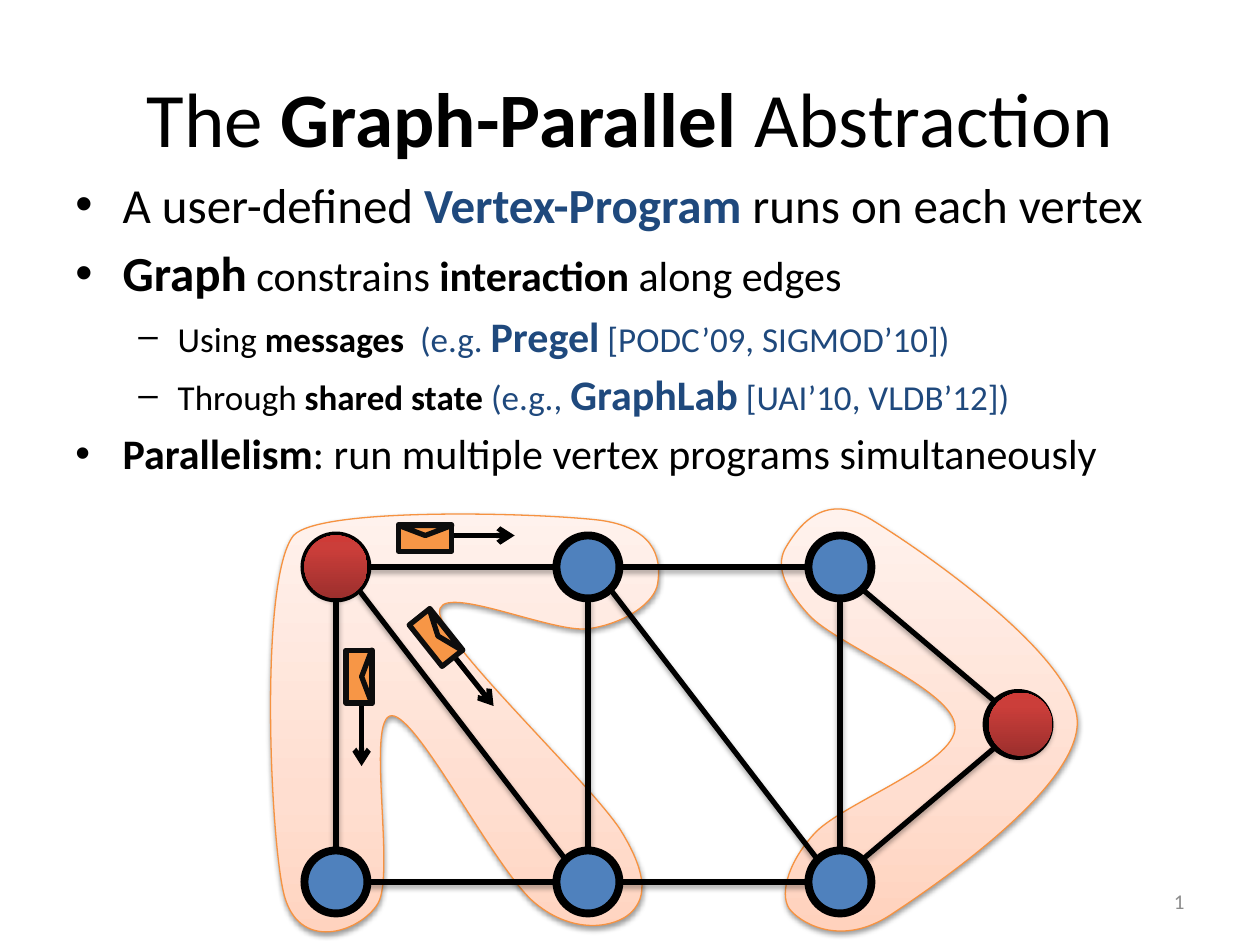
"""Build the Graph-Parallel Abstraction slide."""
import math
from typing import NamedTuple

import lxml.etree
import pptx
import pptx.dml.color
import pptx.enum.dml
import pptx.enum.shapes
import pptx.enum.text
import pptx.oxml.ns
import pptx.util

Inches = pptx.util.Inches
Pt = pptx.util.Pt
Kind = pptx.enum.shapes.MSO_SHAPE
Align = pptx.enum.text.PP_ALIGN
Anchor = pptx.enum.text.MSO_ANCHOR
qn = pptx.oxml.ns.qn

BLACK, NAVY, BLUE, ORANGE = "000000", "1F497D", "4F81BD", "F79646"
RADIUS = 0.25


class Span(NamedTuple):
    text: str
    size: float
    bold: bool = False
    color: str = BLACK


class Line(NamedTuple):
    spans: list[Span]
    bullet: str = ""
    margin: float = 0
    hang: float = 0


class Point(NamedTuple):
    x: float
    y: float


class Envelope(NamedTuple):
    center: Point
    angle: float


class Region(NamedTuple):
    box: tuple[float, float, float, float]
    start: Point
    curves: list[tuple[float, ...]]


class Stop(NamedTuple):
    percent: int
    color: str


PEACH = [Stop(0, "FFD2BD"), Stop(35, "FFDED0"), Stop(100, "FFF2ED")]
RED = [Stop(0, "9C2F2D"), Stop(80, "CB3E3A"), Stop(100, "CE3B37")]

TITLE = [Line([Span("The ", 44), Span("Graph-Parallel", 44, True), Span(" Abstraction", 44)])]
TOP = ("•", 3 / 8, -3 / 8)
SUB = ("–", 13 / 16, -5 / 16)
BODY = [
    Line([Span("A user-defined", 28), Span(" Vertex-Program ", 28, True, NAVY),
          Span("runs on each vertex", 28)], *TOP),
    Line([Span("Graph", 28, True), Span(" constrains ", 24), Span("interaction", 24, True),
          Span(" along edges", 24)], *TOP),
    Line([Span("Using ", 20), Span("messages  ", 20, True), Span("(e.g. ", 20, False, NAVY),
          Span("Pregel", 24, True, NAVY), Span(" ", 20, True, NAVY),
          Span("[PODC’09, SIGMOD’10])", 20, False, NAVY)], *SUB),
    Line([Span("Through ", 20), Span("shared state ", 20, True), Span("(e.g., ", 20, False, NAVY),
          Span("GraphLab", 24, True, NAVY), Span(" ", 20, True, NAVY),
          Span("[UAI’10, VLDB’12])", 20, False, NAVY)], *SUB),
    Line([Span("Parallelism", 24, True),
          Span(": run multiple vertex programs simultaneously", 24)], *TOP),
]

REGIONS = [
    Region((6.2, 4.04, 2.34, 3.35), Point(8.55, 5.72), [
        (8.52, 5.19, 7.29, 4.35, 6.91, 4.12), (6.52, 3.89, 6.32, 4.21, 6.24, 4.34),
        (6.16, 4.47, 6.2, 4.64, 6.42, 4.88), (6.64, 5.12, 7.58, 5.48, 7.58, 5.77),
        (7.59, 6.06, 6.67, 6.38, 6.46, 6.62), (6.24, 6.86, 6.18, 7.13, 6.28, 7.23),
        (6.38, 7.34, 6.69, 7.51, 7.07, 7.26), (7.45, 7.01, 8.57, 6.24, 8.55, 5.72)]),
    Region((2.06, 4.02, 3.19, 3.55), Point(2.33, 4.25), [
        (2.54, 4.02, 4.29, 4.07, 4.77, 4.13), (5.25, 4.2, 5.24, 4.49, 5.22, 4.63),
        (5.2, 4.78, 4.96, 4.95, 4.67, 4.99), (4.38, 5.03, 3.45, 4.6, 3.49, 4.87),
        (3.53, 5.13, 4.66, 6.19, 4.92, 6.58), (5.17, 6.98, 5.11, 7.15, 5, 7.25),
        (4.89, 7.35, 4.57, 7.43, 4.25, 7.17), (3.93, 6.91, 3.32, 5.68, 3.11, 5.68),
        (2.9, 5.68, 3.14, 6.93, 3, 7.17), (2.86, 7.4, 2.36, 7.57, 2.25, 7.08),
        (2.14, 6.6, 2.06, 4.59, 2.33, 4.25)]),
]

NODES = {row + str(col): Point(8 / 3 + 2 * col, y)
         for row, y in (("top", 4.5), ("low", 7)) for col in range(3)}
NODES["right"] = Point(8.08, 5.75)
EDGES = [("top0", "top1"), ("top1", "top2"), ("low0", "low1"), ("low1", "low2"),
         ("low2", "top2"), ("top0", "low1"), ("top0", "low0"), ("low1", "top1"),
         ("top2", "right"), ("low2", "right"), ("top1", "low2")]
ACTIVE = [Point(8.1, 5.75), NODES["top0"]]
MESSAGES = [Envelope(Point(27 / 8, 4.27), 0), Envelope(Point(3.46, 5.06), 51.5),
            Envelope(Point(2.85, 5.37), 90)]


def rgb(color: str):
    """Turn a hex string into a colour."""
    return pptx.dml.color.RGBColor.from_string(color)


def add_child(parent, tag: str, **attributes):
    """Append a DrawingML element."""
    return lxml.etree.SubElement(parent, qn(tag), {k: str(v) for k, v in attributes.items()})


def add_text(slide, box, lines, *, align=Align.LEFT, anchor=Anchor.TOP, font="Calibri"):
    """Add a text box of formatted lines."""
    frame = slide.shapes.add_textbox(*map(Inches, box)).text_frame
    frame.word_wrap, frame.vertical_anchor = True, anchor
    for index, line in enumerate(lines):
        paragraph = frame.add_paragraph() if index else frame.paragraphs[0]
        paragraph.alignment = align
        if line.bullet:
            props = paragraph._p.get_or_add_pPr()
            props.set("marL", str(Inches(line.margin)))
            props.set("indent", str(Inches(line.hang)))
            add_child(add_child(props, "a:spcBef"), "a:spcPct", val=20000)
            add_child(props, "a:buFont", typeface="Arial")
            add_child(props, "a:buChar", char=line.bullet)
        for span in line.spans:
            run = paragraph.add_run()
            run.text, run.font.name = span.text, font
            run.font.size, run.font.bold = Pt(span.size), span.bold
            run.font.color.rgb = rgb(span.color)


def cast_shadow(effects, opacity: int, distance: float):
    """Add a soft downward shadow to an effect list."""
    shadow = add_child(effects, "a:outerShdw", blurRad=Pt(3.1), dist=Pt(distance),
                       dir=5400000, rotWithShape=0)
    add_child(add_child(shadow, "a:srgbClr", val=BLACK), "a:alpha", val=opacity * 1000)


def paint(shape, fill, line=None, width: float = 0):
    """Set a plain or gradient fill and an optional outline."""
    shape.shadow.inherit = False
    if isinstance(fill, str):
        shape.fill.solid()
        shape.fill.fore_color.rgb = rgb(fill)
    else:
        shape.fill.gradient()
        shape.fill.gradient_angle = 90
        stops = shape._element.spPr.find(".//" + qn("a:gsLst"))
        for old in list(stops):
            stops.remove(old)
        for stop in fill:
            add_child(add_child(stops, "a:gs", pos=stop.percent * 1000),
                      "a:srgbClr", val=stop.color)
    if line:
        shape.line.color.rgb, shape.line.width = rgb(line), Pt(width)
    else:
        shape.line.fill.background()


def add_centered(slide, kind, center: Point, width: float, height: float, angle: float = 0):
    """Add a preset shape around its centre."""
    shape = slide.shapes.add_shape(kind, Inches(center.x - width / 2),
                                   Inches(center.y - height / 2), Inches(width), Inches(height))
    shape.rotation = angle
    return shape


def add_line(slide, start: Point, end: Point, arrow: bool = False):
    """Add a black line, with an arrowhead or with a shadow."""
    line = slide.shapes.add_connector(pptx.enum.shapes.MSO_CONNECTOR.STRAIGHT,
                                      *map(Inches, (*start, *end)))
    line.line.color.rgb, line.line.width = rgb(BLACK), Pt(3)
    effects = add_child(line._element.spPr, "a:effectLst")
    if arrow:
        add_child(line.line._get_or_add_ln(), "a:tailEnd", type="arrow")
    else:
        cast_shadow(effects, 35, 1.8)


def add_region(slide, region: Region):
    """Add a closed outline of Bézier curves."""
    left, top, width, height = map(Inches, region.box)
    builder = slide.shapes.build_freeform(*map(Inches, region.start))
    builder.add_line_segments([tuple(map(Inches, curve[4:])) for curve in region.curves])
    outline = builder.convert_to_shape()
    outline.left, outline.top, outline.width, outline.height = left, top, width, height
    trace = outline._element.spPr.find(".//" + qn("a:path"))
    for segment in list(trace):
        trace.remove(segment)
    trace.set("w", str(width))
    trace.set("h", str(height))
    for tag, values in [("a:moveTo", region.start),
                        *(("a:cubicBezTo", curve) for curve in region.curves)]:
        segment = add_child(trace, tag)
        for x, y in zip(values[::2], values[1::2]):
            add_child(segment, "a:pt", x=Inches(x) - left, y=Inches(y) - top)
    add_child(trace, "a:close")
    paint(outline, PEACH, "F69240", 0.75)
    cast_shadow(outline._element.spPr.find(qn("a:effectLst")), 38, 1.6)


def add_edge(slide, start: Point, end: Point):
    """Join two nodes from rim to rim."""
    dx, dy = ((b > a) - (b < a) for a, b in zip(start, end))
    reach = RADIUS / math.hypot(dx, dy)
    add_line(slide, Point(start.x + dx * reach, start.y + dy * reach),
             Point(end.x - dx * reach, end.y - dy * reach))


def add_envelope(slide, envelope: Envelope):
    """Add a rotated envelope with the arrow it travels along."""
    turn = math.radians(envelope.angle)

    def place(x: float, y: float) -> Point:
        """Rotate an offset about the envelope's centre."""
        return Point(envelope.center.x + x * math.cos(turn) - y * math.sin(turn),
                     envelope.center.y + x * math.sin(turn) + y * math.cos(turn))

    add_line(slide, place(0.21, -0.02), place(0.71, -0.02), arrow=True)
    for kind, center, height, spin in ((Kind.RECTANGLE, place(0, 0), 0.21, 0),
                                       (Kind.ISOSCELES_TRIANGLE, place(0, -0.06), 0.08, 180)):
        part = add_centered(slide, kind, center, 0.42, height, envelope.angle + spin)
        paint(part, ORANGE, "0D0D0D", 3)


def main():
    """Build and save the slide."""
    deck = pptx.Presentation()
    deck.slide_width, deck.slide_height = Inches(10), Inches(7.5)
    slide = deck.slides.add_slide(deck.slide_layouts[6])
    for region in REGIONS:
        add_region(slide, region)
    add_text(slide, (0.5, 0.3, 9, 1.25), TITLE, align=Align.CENTER, anchor=Anchor.MIDDLE)
    add_text(slide, (0.5, 4 / 3, 9.5, 2.5), BODY)
    for start, end in EDGES:
        add_edge(slide, NODES[start], NODES[end])
    for center in NODES.values():
        paint(add_centered(slide, Kind.OVAL, center, 2 * RADIUS, 2 * RADIUS), BLUE, BLACK, 4.5)
    for envelope in MESSAGES:
        add_envelope(slide, envelope)
    for center in ACTIVE:
        vertex = add_centered(slide, Kind.OVAL, center, 2 * RADIUS, 2 * RADIUS)
        paint(vertex, RED)
        cast_shadow(vertex._element.spPr.find(qn("a:effectLst")), 35, 1.8)
    add_text(slide, (7.17, 6.95, 2.33, 0.4), [Line([Span("1", 12, False, "8C8C8C")])],
             align=Align.RIGHT, anchor=Anchor.MIDDLE)
    deck.save("out.pptx")


if __name__ == "__main__":
    main()
